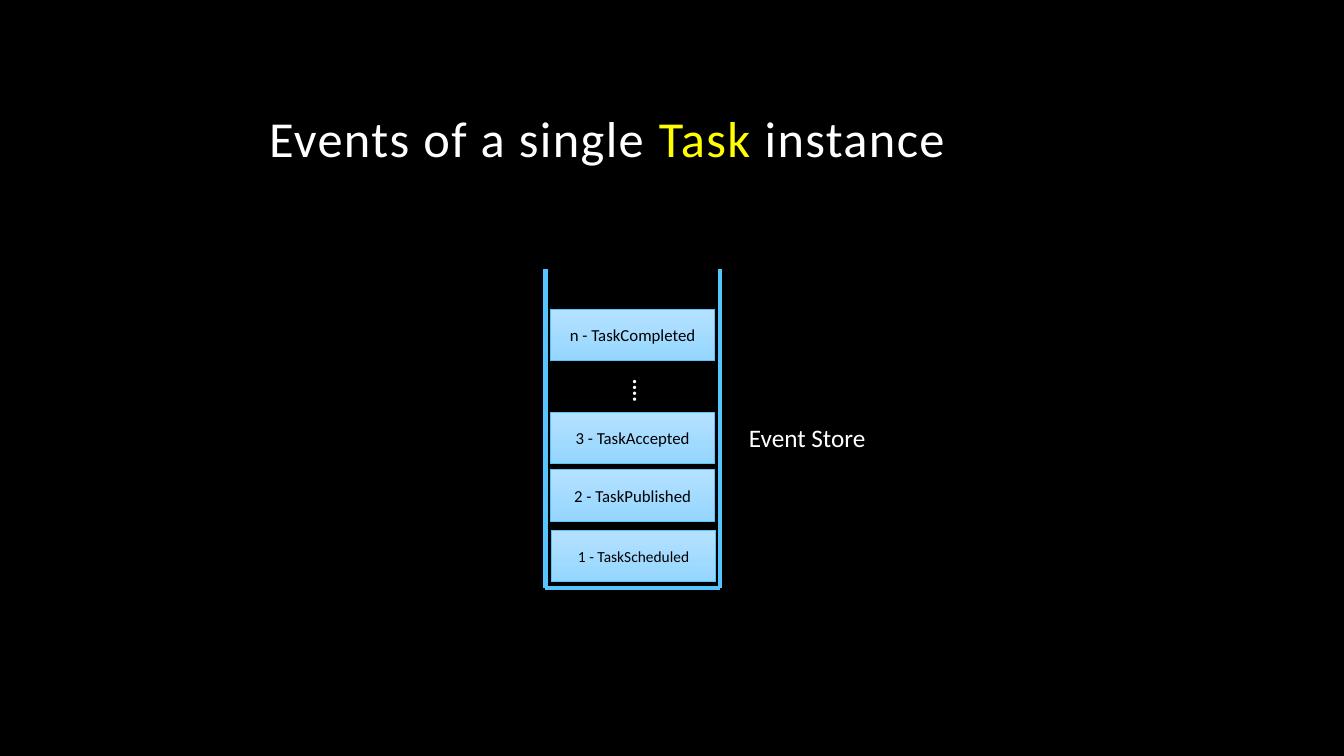
from pptx import Presentation
from pptx.dml.color import RGBColor
from pptx.enum import shapes, text
from pptx.oxml.ns import qn
from pptx.util import Inches, Pt

BLACK = RGBColor(0x00, 0x00, 0x00)
WHITE = RGBColor(0xFF, 0xFF, 0xFF)
YELLOW = RGBColor(0xFF, 0xFF, 0x00)
STORE_BLUE = RGBColor(0x56, 0xC5, 0xFF)
EVENT_TOP = RGBColor(0xB4, 0xE1, 0xFF)
EVENT_BOTTOM = RGBColor(0x95, 0xD6, 0xFF)

TITLE = [("Events of a single ", WHITE), ("Task", YELLOW), (" instance", WHITE)]
# wording, left, top, text size
EVENTS = [
    ("1 - TaskScheduled", 5.47, 5.26, 11),
    ("2 - TaskPublished", 5.46, 4.66, 12),
    ("3 - TaskAccepted", 5.46, 4.09, 12),
    ("n - TaskCompleted", 5.46, 3.07, 12),
]
EVENT_SIZE = (1.63, 0.51)
STORE_LEFT, STORE_RIGHT, STORE_TOP, STORE_BOTTOM = 5.41, 7.14, 2.67, 5.83
# wording, box, wrap, alignment, font
LABELS = [
    ("Event Store", (7.33, 4.14, 3.16, 1.24), True, text.PP_ALIGN.LEFT,
     {"size": Pt(18)}),
    ("⁞", (6.16, 3.67, 0.27, 0.37), False, text.PP_ALIGN.CENTER,
     {"size": Pt(16), "bold": True}),
]


def inches(values):
    return [Inches(value) for value in values]


def add_run(paragraph, wording, color, **font_values):
    run = paragraph.add_run()
    run.text = wording
    run.font.color.rgb = color
    for key, value in {"name": "Calibri", **font_values}.items():
        setattr(run.font, key, value)
    return run


def add_title(slide):
    title = slide.shapes.title
    title.left, title.top, title.width, title.height = inches((2.57, 0.47, 9, 1.25))
    frame = title.text_frame
    frame.auto_size = text.MSO_AUTO_SIZE.NONE
    frame.vertical_anchor = text.MSO_ANCHOR.BOTTOM
    heading = frame.paragraphs[0]
    heading.alignment = text.PP_ALIGN.LEFT
    heading.line_spacing = 0.9
    for wording, color in TITLE:
        run = add_run(heading, wording, color, size=Pt(36))
        run.font._element.set("spc", "100")


def add_store(slide):
    """Draw the open-topped container from its three walls."""
    corners = [(STORE_LEFT, STORE_TOP), (STORE_LEFT, STORE_BOTTOM),
               (STORE_RIGHT, STORE_BOTTOM), (STORE_RIGHT, STORE_TOP)]
    for start, end in zip(corners, corners[1:]):
        wall = slide.shapes.add_connector(
            shapes.MSO_CONNECTOR.STRAIGHT, *inches(start + end))
        wall.line.color.rgb = STORE_BLUE
        wall.line.width = Pt(3)
        properties = wall._element.spPr
        properties.append(properties.makeelement(qn("a:effectLst"), {}))


def add_event(slide, wording, left, top, size):
    event = slide.shapes.add_shape(
        shapes.MSO_SHAPE.RECTANGLE, *inches((left, top) + EVENT_SIZE))
    event.shadow.inherit = False
    event.fill.gradient()
    event.fill.gradient_angle = 270
    for stop, color in zip(event.fill.gradient_stops, (EVENT_TOP, EVENT_BOTTOM)):
        stop.color.rgb = color
    event.line.color.rgb = STORE_BLUE
    event.line.width = Pt(0.5)
    event.text_frame.vertical_anchor = text.MSO_ANCHOR.MIDDLE
    caption = event.text_frame.paragraphs[0]
    caption.alignment = text.PP_ALIGN.CENTER
    add_run(caption, wording, BLACK, size=Pt(size))


def add_label(slide, wording, box, wrap, alignment, font_values):
    frame = slide.shapes.add_textbox(*inches(box)).text_frame
    frame.word_wrap = wrap
    frame.paragraphs[0].alignment = alignment
    add_run(frame.paragraphs[0], wording, WHITE, **font_values)


def main():
    deck = Presentation()
    deck.slide_width, deck.slide_height = inches((13.33, 7.5))
    slide = deck.slides.add_slide(deck.slide_layouts.get_by_name("Title Only"))
    slide.background.fill.solid()
    slide.background.fill.fore_color.rgb = BLACK
    add_title(slide)
    add_store(slide)
    for event in EVENTS:
        add_event(slide, *event)
    for label in LABELS:
        add_label(slide, *label)
    deck.save("out.pptx")


if __name__ == "__main__":
    main()
